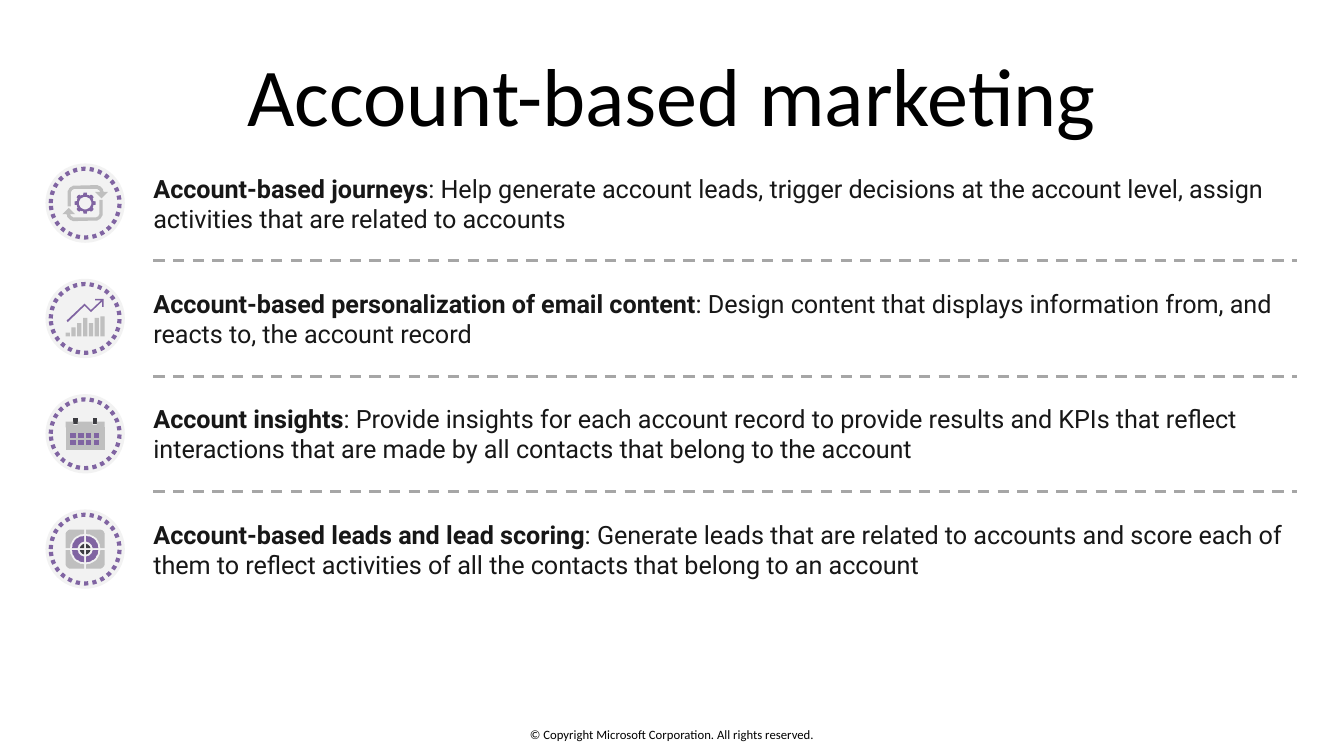
from itertools import product
from math import cos, radians, sin

from lxml.etree import SubElement
from pptx import Presentation
from pptx.dml.color import RGBColor
from pptx.enum.dml import MSO_LINE
from pptx.enum.shapes import MSO_CONNECTOR, MSO_SHAPE
from pptx.enum.text import MSO_ANCHOR, PP_ALIGN
from pptx.oxml.ns import qn
from pptx.util import Cm, Pt

COLORS = {
    "title": "000000",
    "body": "171717",
    "divider": "A6A6A6",
    "disc": "F2F2F2",
    "accent": "8064A2",
    "gray": "BFBFBF",
    "dark": "3C3C41",
}

# Row grid in centimetres
ICON_X, FIRST_ROW_Y, ROW_PITCH = 1.61, 3.84, 2.18
TEXT_LEFT, TEXT_WIDTH, TEXT_HEIGHT = 2.9, 21.62, 1.63


def color(name):
    return RGBColor.from_string(COLORS[name])


# Outlines: points in hundredths of a centimetre around the icon centre
def arc(center_x, center_y, radius, start, end, steps=12):
    angles = [radians(start + (end - start) * i / steps) for i in range(steps + 1)]
    return [(center_x + radius * cos(a), center_y + radius * sin(a)) for a in angles]


def box(left, top, right, bottom):
    return [(left, top), (right, top), (right, bottom), (left, bottom)]


def mirror(points, x_sign, y_sign):
    return [(x * x_sign, y * y_sign) for x, y in points]


def add_outline(group, center_y, fill, *contours):
    builder = None
    for contour in contours:
        if builder is None:
            builder = group.shapes.build_freeform(*contour[0], scale=Cm(0.01))
        else:
            builder.move_to(*contour[0])
        builder.add_line_segments(contour[1:], close=True)
    shape = builder.convert_to_shape(Cm(ICON_X), Cm(center_y))
    shape.shadow.inherit = False
    shape.fill.solid()
    shape.fill.fore_color.rgb = color(fill)
    shape.line.fill.background()


def add_circle(group, center_y, diameter):
    radius = diameter / 2
    circle = group.shapes.add_shape(
        MSO_SHAPE.OVAL, Cm(ICON_X - radius), Cm(center_y - radius), Cm(diameter), Cm(diameter))
    circle.shadow.inherit = False
    return circle


def add_badge(slide, center_y):
    group = slide.shapes.add_group_shape()
    disc = add_circle(group, center_y, 1.5)
    disc.fill.solid()
    disc.fill.fore_color.rgb = color("disc")
    disc.line.fill.background()
    ring = add_circle(group, center_y, 1.3)
    ring.fill.background()
    ring.line.color.rgb = color("accent")
    ring.line.width = Pt(2.25)
    ring.line.dash_style = MSO_LINE.ROUND_DOT
    return group


# Icons
def draw_journey(group, y):
    arrow = (arc(-19, -19, 8, 180, 270) + arc(20, -18, 9, 270, 340)
             + [(19, -21), (31, -9), (43, -21), (35, -21)]
             + arc(20, -19, 15, 350, 270) + arc(-19, -19, 14, 270, 180)
             + [(-33, 6), (-27, 6)])
    for sign in (1, -1):
        add_outline(group, y, "gray", mirror(arrow, sign, sign))
    gear = []
    for tooth in range(8):
        angle = tooth * 45
        gear += arc(0, 0, 20, angle - 10, angle + 10, 3)
        gear += arc(0, 0, 16, angle + 15, angle + 30, 3)
    add_outline(group, y, "accent", gear, arc(0, 0, 12, 0, 360, 36))


def draw_chart(group, y):
    tops = (27, 17, 9, -1, 9, -1, -4)
    bars = [box(-37 + 11 * i, top, -29 + 11 * i, 34) for i, top in enumerate(tops)]
    add_outline(group, y, "gray", *bars)
    add_outline(group, y, "accent", [
        (19, -37), (19, -34), (30, -34), (11, -16), (-1, -28), (-35, 4), (-33, 7),
        (-1, -24), (11, -12), (32, -32), (32, -22), (35, -22), (35, -37)])


def draw_calendar(group, y):
    for left in (-22, 14):
        add_outline(group, y, "dark", box(left, -30, left + 8, -18))
    add_outline(group, y, "gray", [
        (-37, -23), (-22, -23), (-22, -17), (-14, -17), (-14, -23), (14, -23),
        (14, -17), (22, -17), (22, -23), (37, -23), (37, -12), (-37, -12)])
    add_outline(group, y, "gray", box(-37, -12, 37, 31))
    for column, row in product(range(4), range(2)):
        left, top = -28 + 15 * column, -2 + 14 * row
        add_outline(group, y, "accent", box(left, top, left + 10, top + 10))


def draw_target(group, y):
    corner = [(2, 37)] + arc(27, 27, 10, 90, 0) + [(37, 2)] + arc(0, 0, 29, 4, 86)
    ring = arc(0, 0, 25, 5, 85) + arc(0, 0, 14, 82, 8)
    center = [(2, 2)] + arc(0, 0, 10, 12, 78)
    for x_sign, y_sign in product((-1, 1), repeat=2):
        for fill, points in (("gray", corner), ("accent", ring), ("dark", center)):
            add_outline(group, y, fill, mirror(points, x_sign, y_sign))


# Text and dividers
def add_text(slide, left, top, width, height, runs, size, font, font_color, centered=False):
    text_box = slide.shapes.add_textbox(Cm(left), Cm(top), Cm(width), Cm(height))
    frame = text_box.text_frame
    frame.word_wrap = True
    frame.vertical_anchor = MSO_ANCHOR.MIDDLE
    frame.margin_left = frame.margin_right = frame.margin_top = frame.margin_bottom = 0
    paragraph = frame.paragraphs[0]
    paragraph.alignment = PP_ALIGN.CENTER if centered else PP_ALIGN.LEFT
    paragraph.font.size = Pt(size)
    paragraph.font.name = font
    paragraph.font.color.rgb = color(font_color)
    for text, bold in runs:
        run = paragraph.add_run()
        run.text = text
        run.font.bold = bold


def add_divider(slide, y):
    divider = slide.shapes.add_connector(
        MSO_CONNECTOR.STRAIGHT, Cm(TEXT_LEFT), Cm(y), Cm(TEXT_LEFT + TEXT_WIDTH), Cm(y))
    divider.line.color.rgb = color("divider")
    divider.line.width = Pt(1.5)
    divider.line.dash_style = MSO_LINE.DASH
    SubElement(divider._element.spPr, qn("a:effectLst"))


ROWS = [
    (draw_journey, "Account-based journeys",
     ": Help generate account leads, trigger decisions at the account level, "
     "assign activities that are related to accounts"),
    (draw_chart, "Account-based personalization of email content",
     ": Design content that displays information from, and reacts to, the account record"),
    (draw_calendar, "Account insights",
     ": Provide insights for each account record to provide results and KPIs that reflect "
     "interactions that are made by all contacts that belong to the account"),
    (draw_target, "Account-based leads and lead scoring",
     ": Generate leads that are related to accounts and score each of them to reflect "
     "activities of all the contacts that belong to an account"),
]


def main():
    presentation = Presentation()
    presentation.slide_width, presentation.slide_height = Cm(25.4), Cm(14.29)
    slide = presentation.slides.add_slide(presentation.slide_layouts[6])

    # Title and footer
    add_text(slide, 1.27, 0.58, 22.86, 2.39, [("Account-based marketing", False)],
             44, "Calibri", "title", centered=True)
    add_text(slide, 8.4, 13.74, 8.6, 0.28,
             [("© Copyright Microsoft Corporation. All rights reserved.", False)],
             6.8, "Calibri", "title", centered=True)

    # Rows, with a divider between neighbours
    for index, (draw_icon, heading, description) in enumerate(ROWS):
        center_y = FIRST_ROW_Y + index * ROW_PITCH
        if index:
            add_divider(slide, center_y - ROW_PITCH / 2)
        draw_icon(add_badge(slide, center_y), center_y)
        add_text(slide, TEXT_LEFT, center_y - TEXT_HEIGHT / 2, TEXT_WIDTH, TEXT_HEIGHT,
                 [(heading, True), (description, False)], 13.5, "Roboto", "body")

    presentation.save("out.pptx")


if __name__ == "__main__":
    main()
